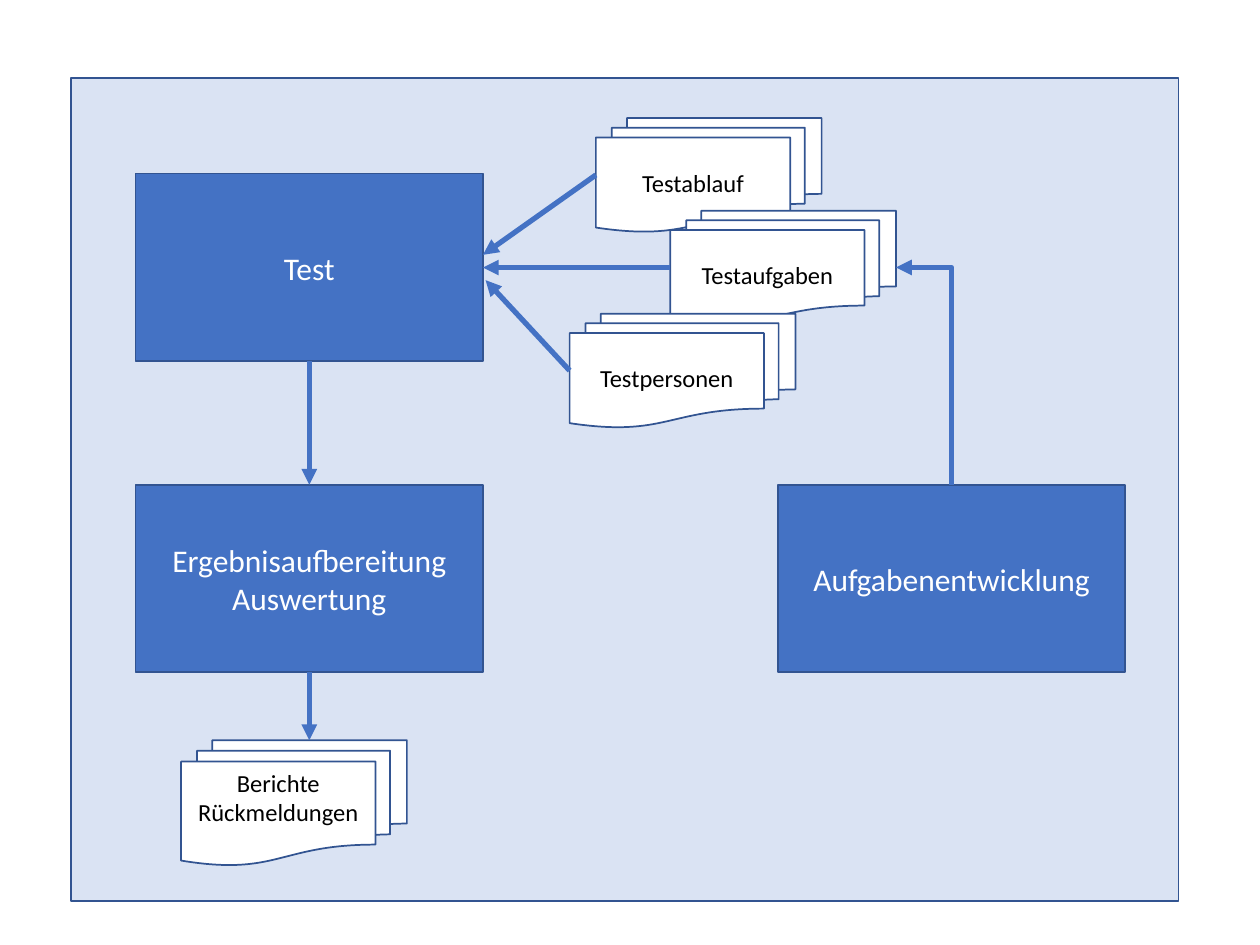
from pptx import Presentation
from pptx.dml.color import RGBColor
from pptx.enum.shapes import MSO_CONNECTOR as Connector, MSO_SHAPE as Shape
from pptx.enum.text import MSO_ANCHOR as Anchor, PP_ALIGN as Align
from pptx.oxml.ns import qn
from pptx.util import Pt
from lxml.etree import SubElement

WHITE = RGBColor(0xFF, 0xFF, 0xFF)
BLACK = RGBColor(0x00, 0x00, 0x00)
PALE = RGBColor(0xDA, 0xE3, 0xF3)
BLUE = RGBColor(0x44, 0x72, 0xC4)
OUTLINE = RGBColor(0x32, 0x54, 0x91)

BOX_WIDTH, BOX_HEIGHT = 198.5, 107.25
STACK_WIDTH, STACK_HEIGHT = 129, 65


def add_block(slide, kind, left, top, width, height, fill):
    shape = slide.shapes.add_shape(kind, Pt(left), Pt(top), Pt(width), Pt(height))
    shape.shadow.inherit = False
    shape.fill.solid()
    shape.fill.fore_color.rgb = fill
    shape.line.color.rgb = OUTLINE
    shape.line.width = Pt(1)
    return shape


def write_text(shape, text, size, color, anchor=Anchor.MIDDLE):
    text_frame = shape.text_frame
    text_frame.text = text
    text_frame.word_wrap = True
    text_frame.vertical_anchor = anchor
    for paragraph in text_frame.paragraphs:
        paragraph.alignment = Align.CENTER
        for run in paragraph.runs:
            run.font.name = "Calibri"
            run.font.size = Pt(size)
            run.font.color.rgb = color


def add_process(slide, left, top, text):
    shape = add_block(slide, Shape.RECTANGLE, left, top, BOX_WIDTH, BOX_HEIGHT, BLUE)
    write_text(shape, text, 18, WHITE)


def add_documents(slide, left, top, text, height=STACK_HEIGHT, anchor=Anchor.MIDDLE):
    shape = add_block(slide, Shape.FLOWCHART_MULTIDOCUMENT, left, top, STACK_WIDTH, height, WHITE)
    write_text(shape, text, 14, BLACK, anchor)


def add_arrow(slide, start, end, kind=Connector.STRAIGHT):
    connector = slide.shapes.add_connector(kind, *map(Pt, start + end))
    connector.line.color.rgb = BLUE
    connector.line.width = Pt(3)
    line = connector.line._get_or_add_ln()
    SubElement(line, qn("a:tailEnd"), type="triangle")
    SubElement(connector._element.spPr, qn("a:effectLst"))
    return connector


def add_corner_arrow(slide, start, end):
    middle_x, middle_y = (start[0] + end[0]) / 2, (start[1] + end[1]) / 2
    half_run, half_rise = (start[0] - end[0]) / 2, (start[1] - end[1]) / 2
    connector = add_arrow(
        slide,
        (middle_x - half_rise, middle_y + half_run),
        (middle_x + half_rise, middle_y - half_run),
        Connector.ELBOW,
    )
    properties = connector._element.spPr
    properties.find(qn("a:xfrm")).set("rot", str(270 * 60000))
    properties.find(qn("a:prstGeom")).set("prst", "bentConnector2")


def add_diagram(slide, left, top, width, height):
    add_block(slide, Shape.RECTANGLE, left, top, width, height, PALE)

    column_left, column_right = left + 37, left + 404
    test_top, lower_top = top + 54.75, top + 232.5
    test_edge = column_left + BOX_WIDTH
    test_middle = test_top + BOX_HEIGHT / 2
    column_middle = column_left + BOX_WIDTH / 2
    report_top = top + 378.5

    add_process(slide, column_left, test_top, "Test")
    add_process(slide, column_left, lower_top, "Ergebnisaufbereitung\nAuswertung")
    add_process(slide, column_right, lower_top, "Aufgabenentwicklung")

    inputs = [
        ("Testablauf", left + 300, top + 23, 0, -7.25),
        ("Testaufgaben", left + 342.5, test_middle - STACK_HEIGHT / 2, 0, 0),
        ("Testpersonen", left + 285, top + 134.75, 1.5, 7.25),
    ]
    for text, stack_left, stack_top, gap, offset in inputs:
        add_documents(slide, stack_left, stack_top, text)
        add_arrow(
            slide,
            (stack_left, stack_top + STACK_HEIGHT / 2),
            (test_edge + gap, test_middle + offset),
        )

    add_corner_arrow(
        slide,
        (column_right + BOX_WIDTH / 2, lower_top),
        (left + 342.5 + STACK_WIDTH, test_middle),
    )
    add_documents(slide, left + 63, report_top, "Berichte\nRückmeldungen", 71.5, Anchor.TOP)
    add_arrow(slide, (column_middle, test_top + BOX_HEIGHT), (column_middle, lower_top))
    add_arrow(slide, (column_middle, lower_top + BOX_HEIGHT), (column_middle, report_top))


def main():
    presentation = Presentation()
    presentation.slide_width = Pt(720)
    presentation.slide_height = Pt(540)
    slide = presentation.slides.add_slide(presentation.slide_layouts[6])
    add_diagram(slide, 40.5, 44.5, 633, 470.5)
    presentation.save("out.pptx")


if __name__ == "__main__":
    main()
